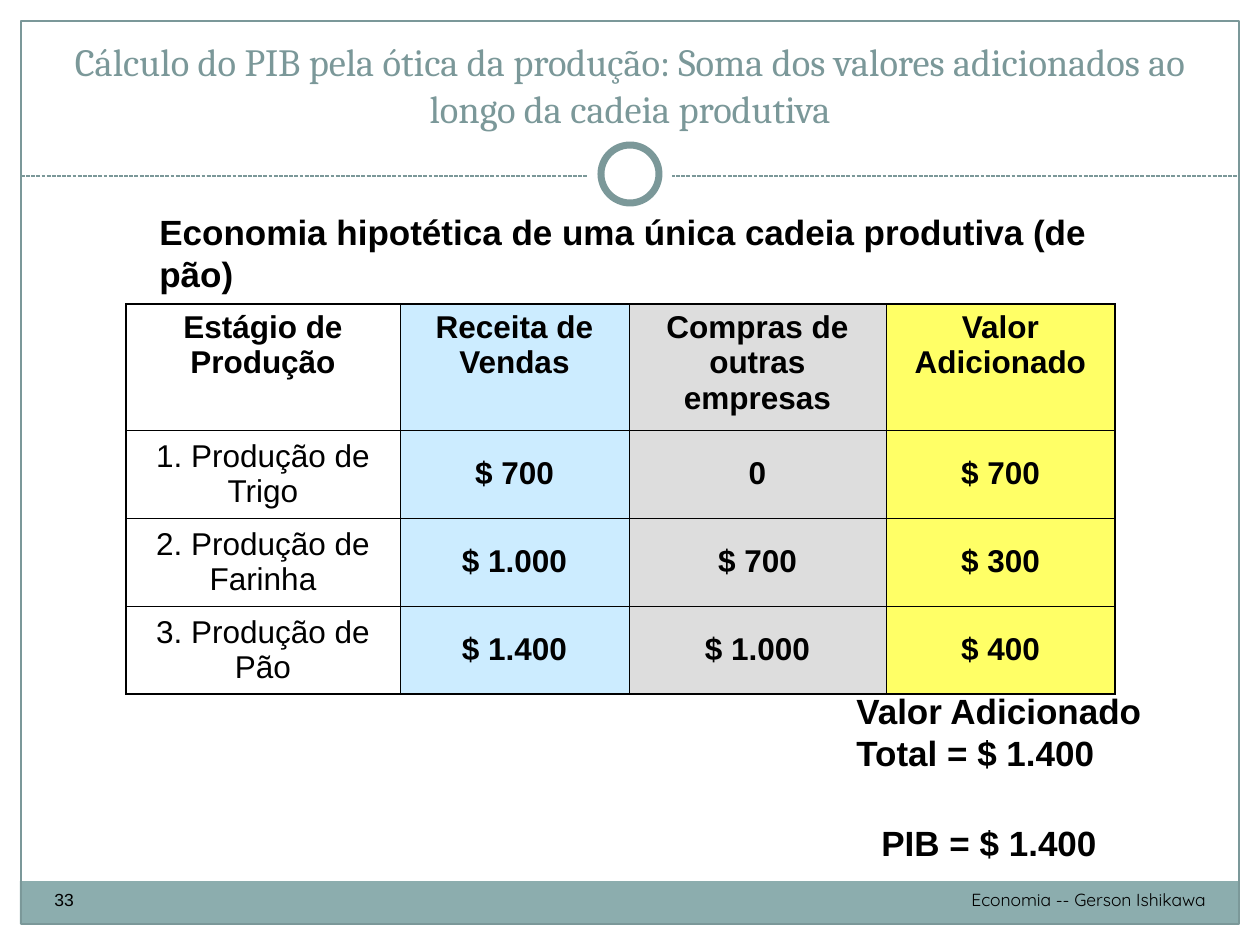
"""Build the slide on GDP measured by value added along a bread production chain."""
from lxml import etree
from pptx import Presentation
from pptx.dml.color import RGBColor
from pptx.enum.dml import MSO_LINE
from pptx.enum.shapes import MSO_CONNECTOR, MSO_SHAPE
from pptx.enum.text import MSO_ANCHOR, PP_ALIGN
from pptx.oxml.ns import qn
from pptx.util import Emu, Pt

RECT, OVAL = MSO_SHAPE.RECTANGLE, MSO_SHAPE.OVAL
LEFT, CENTER, RIGHT = PP_ALIGN.LEFT, PP_ALIGN.CENTER, PP_ALIGN.RIGHT
TOP, MIDDLE, BOTTOM = MSO_ANCHOR.TOP, MSO_ANCHOR.MIDDLE, MSO_ANCHOR.BOTTOM
STRAIGHT, DASH = MSO_CONNECTOR.STRAIGHT, MSO_LINE.SQUARE_DOT
PX = 914400 / 126

THEME = {
    "white": "FFFFFF", "black": "000000", "accent": "7B9899", "band": "8CADAE",
    "columns": ["FFFFFF", "CCECFF", "DDDDDD", "FFFF66"],
    "body": "Arial", "heading": "Cambria", "credit": "Quicksand",
    "title": 22, "statement": 20, "cell": 18, "footer": 10,
    "hairline": 0.75, "ring": 4, "inner": 0.45, "outer": 1.08,
}


def px(*lengths):
    return [Emu(round(length * PX)) for length in lengths]


def write(frame, text, size, font=THEME["body"], color=THEME["black"], bold=False, align=LEFT):
    paragraph = frame.paragraphs[0]
    paragraph.alignment = align
    for index, line in enumerate(text.split("\n")):
        if index:
            paragraph.add_line_break()
        run = paragraph.add_run()
        run.text = line
        run.font.size = Pt(size)
        run.font.name = font
        run.font.bold = bold
        run.font.color.rgb = RGBColor.from_string(color)


deck = Presentation()
deck.slide_width, deck.slide_height = px(1260, 945)
slide = deck.slides.add_slide(deck.slide_layouts[6])

divider = slide.shapes.add_connector(STRAIGHT, *px(21, 176, 1239, 176))
divider.line.color.rgb = RGBColor.from_string(THEME["accent"])
divider.line.width = Pt(THEME["hairline"])
divider.line.dash_style = DASH
etree.SubElement(divider._element.spPr, qn("a:effectLst"))

decor = [
    (RECT, (20, 881, 1218, 43), THEME["band"], None),
    (RECT, (21, 21, 1218, 903), None, THEME["hairline"]),
    (OVAL, (588, 132, 84, 84), THEME["white"], None),
    (OVAL, (601, 145, 58, 58), THEME["white"], THEME["ring"]),
]
for preset, place, fill, line_width in decor:
    ornament = slide.shapes.add_shape(preset, *px(*place))
    ornament.shadow.inherit = False
    if fill:
        ornament.fill.solid()
        ornament.fill.fore_color.rgb = RGBColor.from_string(fill)
    else:
        ornament.fill.background()
    if line_width:
        ornament.line.color.rgb = RGBColor.from_string(THEME["accent"])
        ornament.line.width = Pt(line_width)
    else:
        ornament.line.fill.background()

title = slide.shapes.add_textbox(*px(42, 32, 1176, 105)).text_frame
title.word_wrap = True
title.vertical_anchor = BOTTOM
write(title, "Cálculo do PIB pela ótica da produção: Soma dos valores adicionados ao longo da cadeia produtiva",
      THEME["title"], THEME["heading"], THEME["accent"], align=CENTER)

footers = [
    ((798, 883, 420, 50), "Economia -- Gerson Ishikawa", THEME["credit"], RIGHT),
    ((42, 883, 494, 50), "33", THEME["body"], LEFT),
]
for place, text, font, align in footers:
    footer = slide.shapes.add_textbox(*px(*place)).text_frame
    footer.word_wrap = True
    write(footer, text, THEME["footer"], font, align=align)

stages = [
    ["Estágio de Produção", "Receita de Vendas", "Compras de outras empresas", "Valor Adicionado"],
    ["1. Produção de Trigo", "$ 700", "0", "$ 700"],
    ["2. Produção de Farinha", "$ 1.000", "$ 700", "$ 300"],
    ["3. Produção de Pão", "$ 1.400", "$ 1.000", "$ 400"],
]
column_widths = px(274, 229, 257, 229)
row_heights = px(126, 88, 88, 88)
last_row, last_column = len(row_heights) - 1, len(column_widths) - 1
table = slide.shapes.add_table(len(row_heights), len(column_widths), *px(126, 304),
                               sum(column_widths), sum(row_heights)).table
table.first_row = table.horz_banding = False
for column, width in zip(table.columns, column_widths):
    column.width = width
for r, (row, height) in enumerate(zip(table.rows, row_heights)):
    row.height = height
    for c, cell in enumerate(row.cells):
        edges = {"L": c == 0, "R": c == last_column, "T": r == 0, "B": r == last_row}
        for side, is_outer in edges.items():
            weight = Pt(THEME["outer"] if is_outer else THEME["inner"])
            border = etree.SubElement(cell._tc.get_or_add_tcPr(), qn("a:ln" + side), w=str(weight))
            paint = etree.SubElement(border, qn("a:solidFill"))
            etree.SubElement(paint, qn("a:srgbClr"), val=THEME["black"])
        cell.fill.solid()
        cell.fill.fore_color.rgb = RGBColor.from_string(THEME["columns"][c])
        cell.vertical_anchor = MIDDLE if r else TOP
        cell.margin_left, cell.margin_right, cell.margin_top, cell.margin_bottom = px(11, 11, 6, 6)
        write(cell.text_frame, stages[r][c], THEME["cell"], bold=r == 0 or c > 0, align=CENTER)

statements = [
    ((869, 815, 241, 55), "PIB = $ 1.400"),
    ((844, 683, 314, 97), "Valor Adicionado\nTotal = $ 1.400"),
    ((147, 204, 1036, 55), "Economia hipotética de uma única cadeia produtiva (de pão)"),
]
for place, text in statements:
    statement = slide.shapes.add_textbox(*px(*place)).text_frame
    statement.word_wrap = False
    write(statement, text, THEME["statement"], bold=True)

deck.save("out.pptx")
